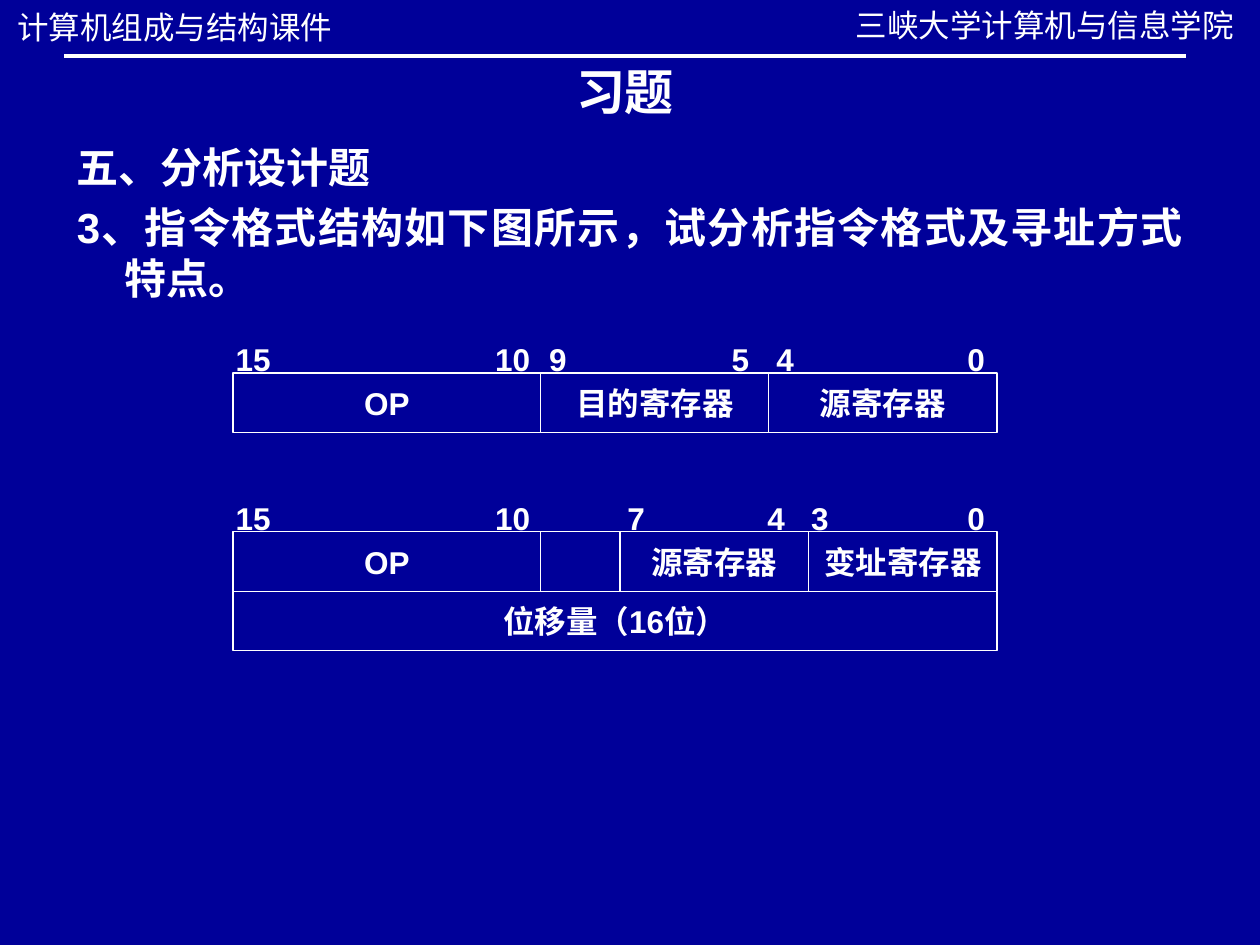
import pptx
import pptx.util
import pptx.dml.color
import pptx.enum.shapes
import pptx.enum.text
import pptx.oxml
import pptx.oxml.ns
from lxml import etree

Cm, Pt = pptx.util.Cm, pptx.util.Pt
ALIGN = pptx.enum.text.PP_ALIGN
ANCHOR = pptx.enum.text.MSO_ANCHOR
SHAPE = pptx.enum.shapes.MSO_SHAPE
qn = pptx.oxml.ns.qn
NAVY = pptx.dml.color.RGBColor(0x00, 0x00, 0x99)
WHITE = pptx.dml.color.RGBColor(0xFF, 0xFF, 0xFF)
CJK = "Noto Sans CJK SC"


def write(shape, text, size=18, bold=True, align=ALIGN.LEFT, face="Arial", tabs=()):
    """Fill a shape with one paragraph; tabs are left stops in cm."""
    para = shape.text_frame.paragraphs[0]
    para.text = text
    para.alignment = align
    if tabs:
        stops = etree.SubElement(para._p.get_or_add_pPr(), qn("a:tabLst"))
        for pos in tabs:
            etree.SubElement(stops, qn("a:tab"), pos=str(Cm(pos)), algn="l")
    font = para.font
    font.size, font.bold, font.name = Pt(size), bold, face
    font.color.rgb = WHITE
    props = para._p.pPr.find(qn("a:defRPr"))
    etree.SubElement(props, qn("a:ea"), typeface=CJK)
    return para


def add_text(left, top, width, height, text, **style):
    box = slide.shapes.add_textbox(Cm(left), Cm(top), Cm(width), Cm(height))
    box.text_frame.word_wrap = True
    return write(box, text, **style)


deck = pptx.Presentation()
deck.slide_width, deck.slide_height = Cm(25.4), Cm(19.05)
slide = deck.slides.add_slide(deck.slide_layouts[5])
slide.background.fill.solid()
slide.background.fill.fore_color.rgb = NAVY

# Page header
rule = slide.shapes.add_connector(
    pptx.enum.shapes.MSO_CONNECTOR.STRAIGHT, Cm(1.3), Cm(1.12), Cm(23.9), Cm(1.12))
rule.line.color.rgb = WHITE
rule.line.width = Pt(2.25)
etree.SubElement(rule._element.spPr, qn("a:effectLst"))
add_text(0.1, 0.03, 7.29, 1.02, "计算机组成与结构课件", bold=False)
add_text(17, 0, 8.4, 1.02, "三峡大学计算机与信息学院", bold=False)

# Title and question
title = slide.shapes.title
title.left, title.top, title.width, title.height = Cm(1.3), Cm(1.12), Cm(22.6), Cm(1.45)
title.text_frame.auto_size = pptx.enum.text.MSO_AUTO_SIZE.NONE
title.text_frame.vertical_anchor = ANCHOR.TOP
write(title, "习题", size=28, align=ALIGN.CENTER, face=CJK)
add_text(1.3, 2.72, 22.6, 1.27, "五、分析设计题", size=24, face=CJK)
ask = add_text(1.3, 3.94, 22.8, 2.29,
               "3、指令格式结构如下图所示，试分析指令格式及寻址方式特点。",
               size=24, align=ALIGN.JUSTIFY)
ask._p.pPr.set("marL", str(Cm(0.96)))
ask._p.pPr.set("indent", str(-Cm(0.96)))

# Instruction words: top, fields as (name, width), bit numbers, their tab stops
LEFT, HIGH = 4.7, 1.2
rows = [
    (7.52, [("OP", 6.2), ("目的寄存器", 4.6), ("源寄存器", 4.6)],
     "15\t10\t9\t5\t4\t0", (5.23, 6.32, 10, 10.9, 14.75)),
    (10.72, [("OP", 6.2), ("", 1.6), ("源寄存器", 3.8), ("变址寄存器", 3.8)],
     "15\t10\t7\t4\t3\t0", (5.23, 7.9, 10.72, 11.6, 14.75)),
    (10.72 + HIGH, [("位移量（16位）", 15.4)], "", ()),
]
for top, fields, bits, tabs in rows:
    left = LEFT
    for name, width in fields:
        cell = slide.shapes.add_shape(
            SHAPE.RECTANGLE, Cm(left), Cm(top), Cm(width), Cm(HIGH))
        cell.shadow.inherit = False
        cell.fill.solid()
        cell.fill.fore_color.rgb = NAVY
        cell.line.color.rgb = WHITE
        cell.line.width = Pt(0.75)
        if name:
            cell.text_frame.word_wrap = False
            cell.text_frame.vertical_anchor = ANCHOR.MIDDLE
            write(cell, name, align=ALIGN.CENTER)
        left += width
    if bits:
        add_text(LEFT - 0.2, top - 0.79, 16, 1.02, bits, tabs=tabs)

deck.save("out.pptx")
